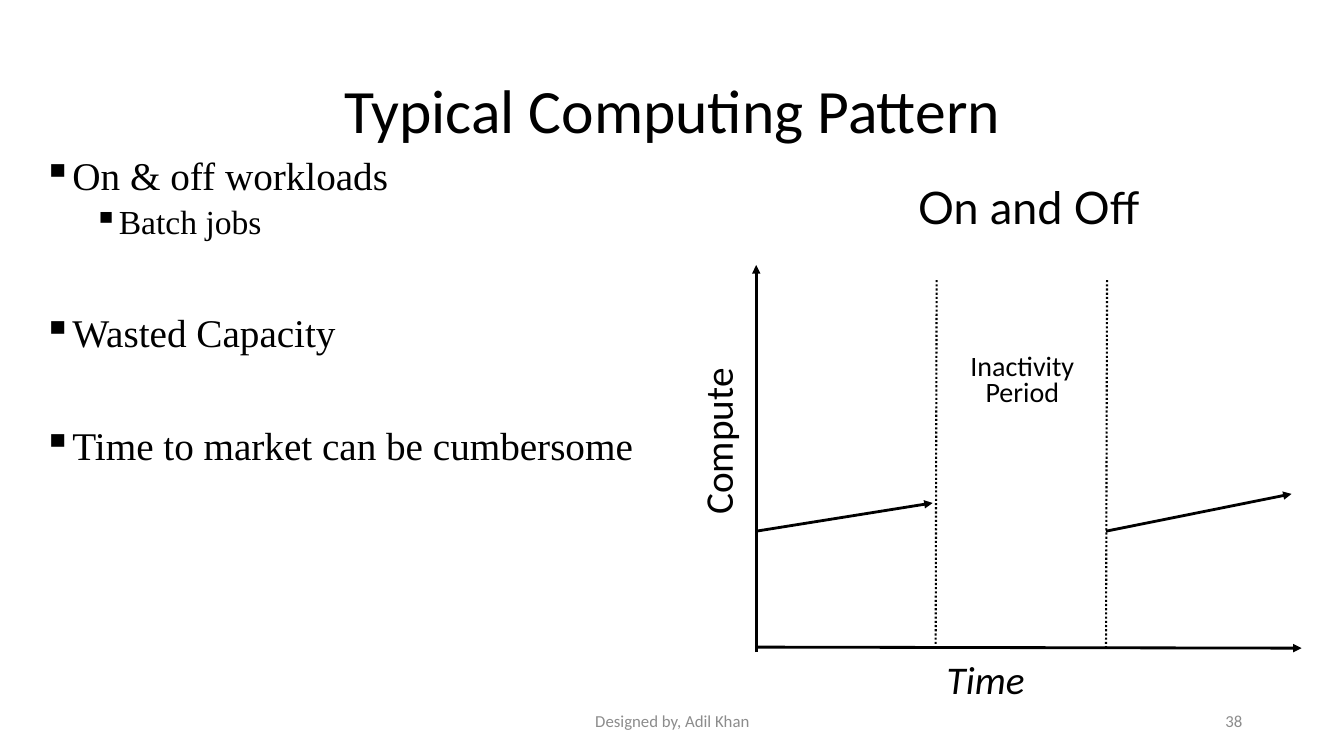
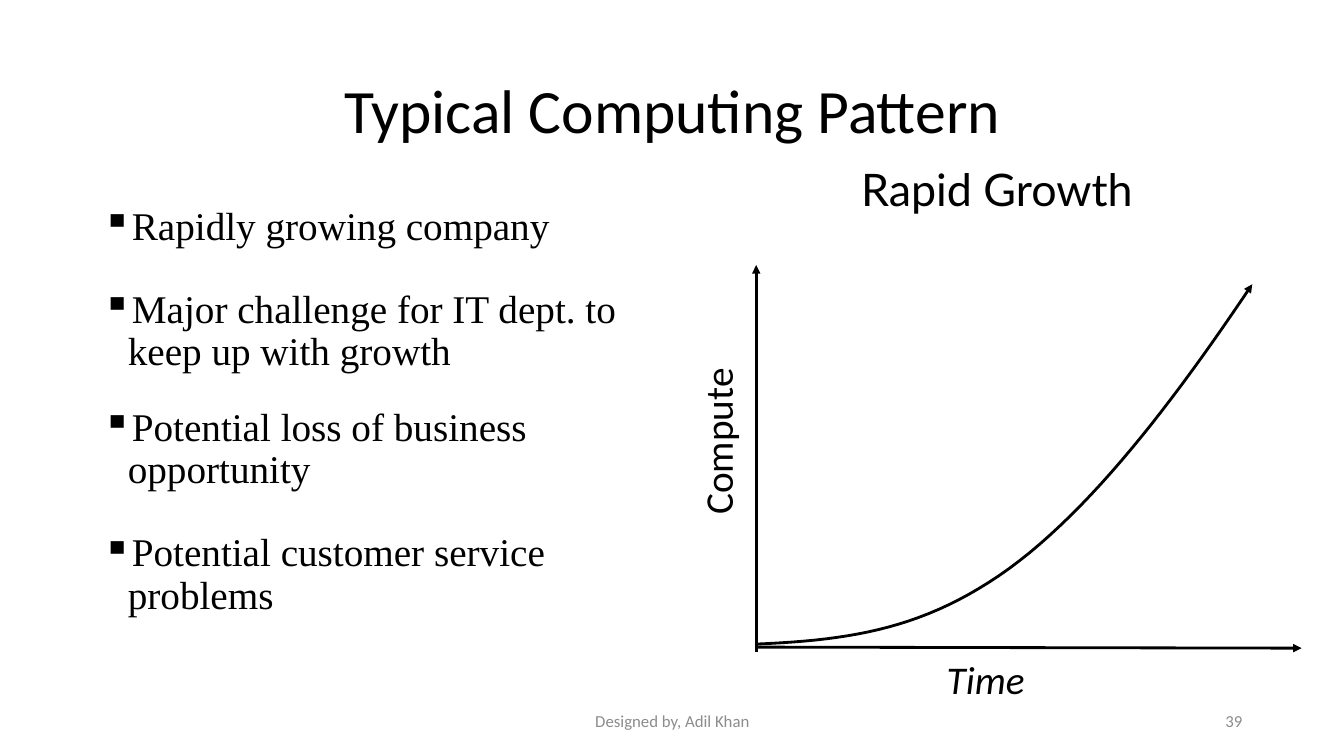
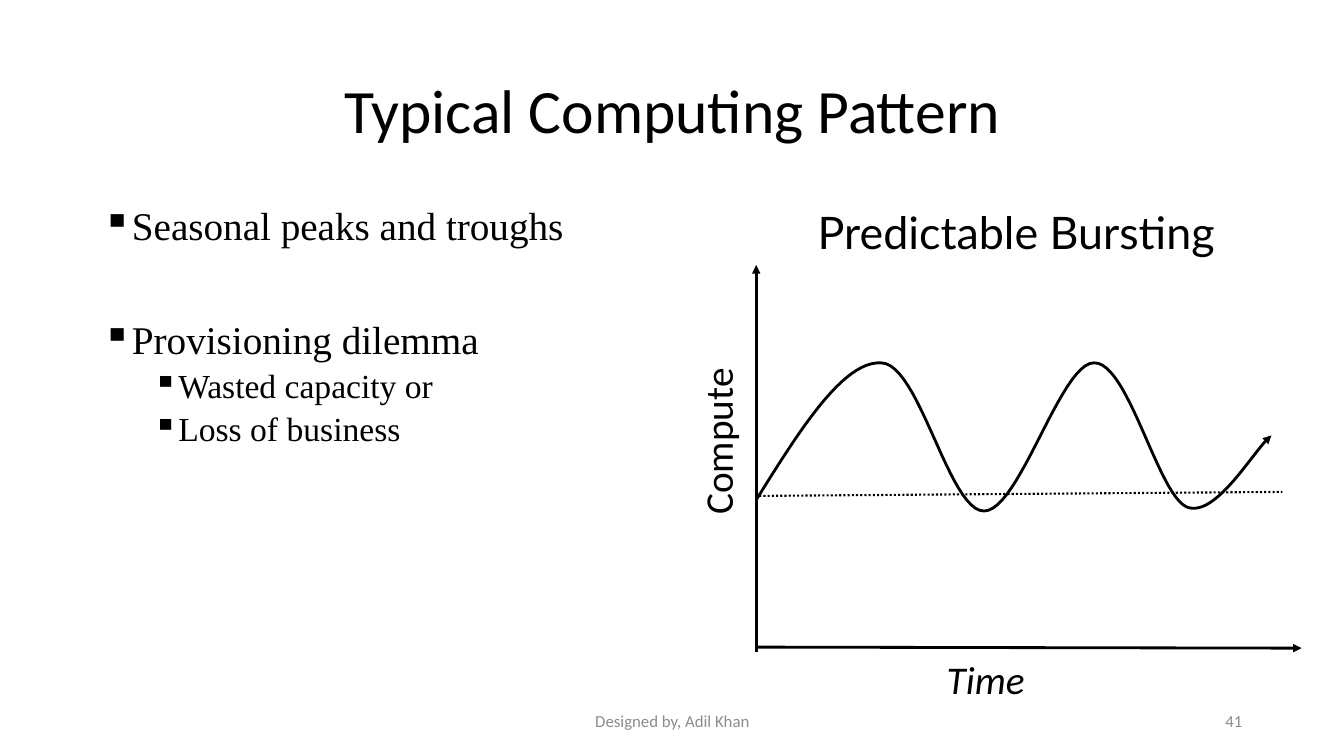
"""Build three slides on typical computing patterns."""
from dataclasses import dataclass

from lxml import etree
from pptx import Presentation
from pptx import util as u
from pptx.dml import color
from pptx.enum import dml, shapes, text
from pptx.oxml import ns

SCALE = 9144
ALIGN = text.PP_ALIGN


@dataclass(frozen=True)
class Theme:
    ink: str = "000000"
    gray: str = "8C8C8C"
    sans: str = "Calibri"
    serif: str = "Times New Roman"
    head: str = "Lato"
    title: int = 44
    label: int = 32
    body: int = 28
    sub: int = 24
    note: int = 20
    foot: int = 12
    stroke: float = 2
    thin: float = 1.5


T = Theme()


def px(n):
    return u.Emu(round(n * SCALE))


def rgb(code):
    return color.RGBColor.from_string(code)


def place(item, left, top, width, height):
    item.left, item.top = px(left), px(top)
    item.width, item.height = px(width), px(height)


def write(para, words, size, font=T.sans, tint=T.ink, slant=False):
    run = para.add_run()
    run.text = words
    run.font.size = u.Pt(size)
    run.font.name = font
    run.font.color.rgb = rgb(tint)
    run.font.italic = slant


def indent(para, left, hang):
    props = para._p.get_or_add_pPr()
    props.set("marL", str(px(left)))
    props.set("indent", str(px(-hang)))
    return props


def box(slide, area, lines, size, align=ALIGN.LEFT, pad=(10, 5), font=T.sans,
        tint=T.ink, slant=False, space=None, after=0, hang=0, mid=False, grow=False):
    item = slide.shapes.add_textbox(*map(px, area))
    frame = item.text_frame
    frame.word_wrap = True
    frame.margin_left = frame.margin_right = px(pad[0])
    frame.margin_top = frame.margin_bottom = px(pad[1])
    frame.vertical_anchor = text.MSO_ANCHOR.MIDDLE if mid else text.MSO_ANCHOR.TOP
    if grow:
        frame.auto_size = text.MSO_AUTO_SIZE.SHAPE_TO_FIT_TEXT
    for i, words in enumerate(lines):
        para = frame.add_paragraph() if i else frame.paragraphs[0]
        para.alignment = align
        para.line_spacing = space
        para.space_after = u.Pt(after)
        if hang:
            indent(para, hang, hang)
        write(para, words, size, font, tint, slant)
    return item


def bullets(slide, area, items):
    frame = slide.shapes.add_textbox(*map(px, area)).text_frame
    frame.word_wrap = True
    for i, (words, level, gap) in enumerate(items):
        para = frame.add_paragraph() if i else frame.paragraphs[0]
        para.level = level
        para.line_spacing = 0.9
        para.space_before = u.Pt(gap)
        props = indent(para, 25 + 50 * level, 25)
        mark = etree.SubElement(props, ns.qn("a:buChar"))
        mark.set("char", "▪")
        write(para, words, T.sub if level else T.body, T.serif)


def stroke(item, arrow=True):
    item.line.color.rgb = rgb(T.ink)
    item.line.width = u.Pt(T.stroke if arrow else T.thin)
    if arrow:
        tail = etree.SubElement(item.line._get_or_add_ln(), ns.qn("a:tailEnd"))
        tail.set("type", "triangle")
    else:
        item.line.dash_style = dml.MSO_LINE.ROUND_DOT


def line(slide, start, end, arrow=True):
    item = slide.shapes.add_connector(
        shapes.MSO_CONNECTOR.STRAIGHT, *map(px, start + end))
    stroke(item, arrow)
    etree.SubElement(item._element.spPr, ns.qn("a:effectLst"))


def bezier(knots, t):
    s = 1 - t
    parts = (s ** 3, 3 * s * s * t, 3 * s * t * t, t ** 3)
    return tuple(px(sum(w * k[axis] for w, k in zip(parts, knots))) for axis in (0, 1))


def curve(slide, knots, steps=24):
    dots = [bezier(knots[i:i + 4], n / steps)
            for i in range(0, len(knots) - 1, 3) for n in range(1, steps + 1)]
    path = slide.shapes.build_freeform(*map(px, knots[0]))
    path.add_line_segments(dots, close=False)
    item = path.convert_to_shape()
    item.fill.background()
    item.shadow.inherit = False
    stroke(item)


def base(deck, number):
    slide = deck.slides.add_slide(deck.slide_layouts[5])
    title = slide.shapes.title
    place(title, 92, 40, 1150, 145)
    title.text_frame.vertical_anchor = text.MSO_ANCHOR.MIDDLE
    para = title.text_frame.paragraphs[0]
    para.alignment = ALIGN.CENTER
    para.line_spacing = 0.9
    write(para, "Typical Computing Pattern", T.title)
    box(slide, (442, 695, 450, 40), ["Designed by, Adil Khan"], T.foot,
        ALIGN.CENTER, tint=T.gray, mid=True)
    box(slide, (942, 695, 300, 40), [number], T.foot, ALIGN.RIGHT, tint=T.gray, mid=True)
    return slide


def axes(slide):
    line(slide, (750, 647), (750, 263))
    line(slide, (750, 642), (1291, 643))
    box(slide, (939, 650, 196, 58), ["Time"], T.body, pad=(0, 0), slant=True)
    side = box(slide, (508, 425, 440, 26), ["Compute"], T.body, ALIGN.CENTER,
               space=u.Pt(10.7), hang=33, grow=True)
    side.rotation = 270


def label(slide, area, words, align=ALIGN.LEFT):
    box(slide, area, [words], T.label, align, pad=(0, 5), font=T.head, space=0.9, grow=True)


def onoff(deck):
    slide = base(deck, "38")
    bullets(slide, (33, 150, 651, 533), [
        ("On & off workloads", 0, 10),
        ("Batch jobs", 1, 5),
        ("Wasted Capacity", 0, 51),
        ("Time to market can be cumbersome", 0, 51)])
    axes(slide)
    line(slide, (750, 527), (925, 499))
    line(slide, (1097, 527), (1281, 490))
    for x in (928, 1097):
        line(slide, (x, 643), (x + 1, 277), arrow=False)
    box(slide, (918, 359, 192, 55), ["Inactivity", "Period"], T.note, ALIGN.CENTER,
        space=u.Pt(10.7), after=8, hang=33, grow=True)
    label(slide, (854, 179, 333, 59), "On and Off", ALIGN.CENTER)


def growth(deck):
    slide = base(deck, "39")
    bullets(slide, (92, 200, 567, 476), [
        ("Rapidly growing company", 0, 10),
        ("Major challenge for IT dept. to keep up with growth", 0, 29),
        ("Potential loss of business opportunity", 0, 24),
        ("Potential customer service problems", 0, 29)])
    axes(slide)
    label(slide, (854, 162, 333, 59), "Rapid Growth")
    curve(slide, [(750, 639), (847, 635), (919, 623), (1001, 564),
                  (1083, 504), (1163, 400), (1242, 282)])


def burst(deck):
    slide = base(deck, "41")
    bullets(slide, (92, 200, 567, 476), [
        ("Seasonal peaks and troughs", 0, 10),
        ("Provisioning dilemma", 0, 51),
        ("Wasted capacity or", 1, 5),
        ("Loss of business", 1, 5)])
    axes(slide)
    label(slide, (811, 204, 419, 59), "Predictable Bursting")
    curve(slide, [(750, 496), (793, 427), (836, 358), (874, 360),
                  (912, 361), (941, 507), (976, 507),
                  (1011, 507), (1052, 360), (1085, 360),
                  (1119, 359), (1148, 490), (1177, 503),
                  (1206, 515), (1245, 444), (1261, 432)])
    line(slide, (753, 492), (1272, 488), arrow=False)


def main():
    deck = Presentation()
    deck.slide_width, deck.slide_height = px(1333), px(750)
    for build in (onoff, growth, burst):
        build(deck)
    deck.save("out.pptx")


if __name__ == "__main__":
    main()
